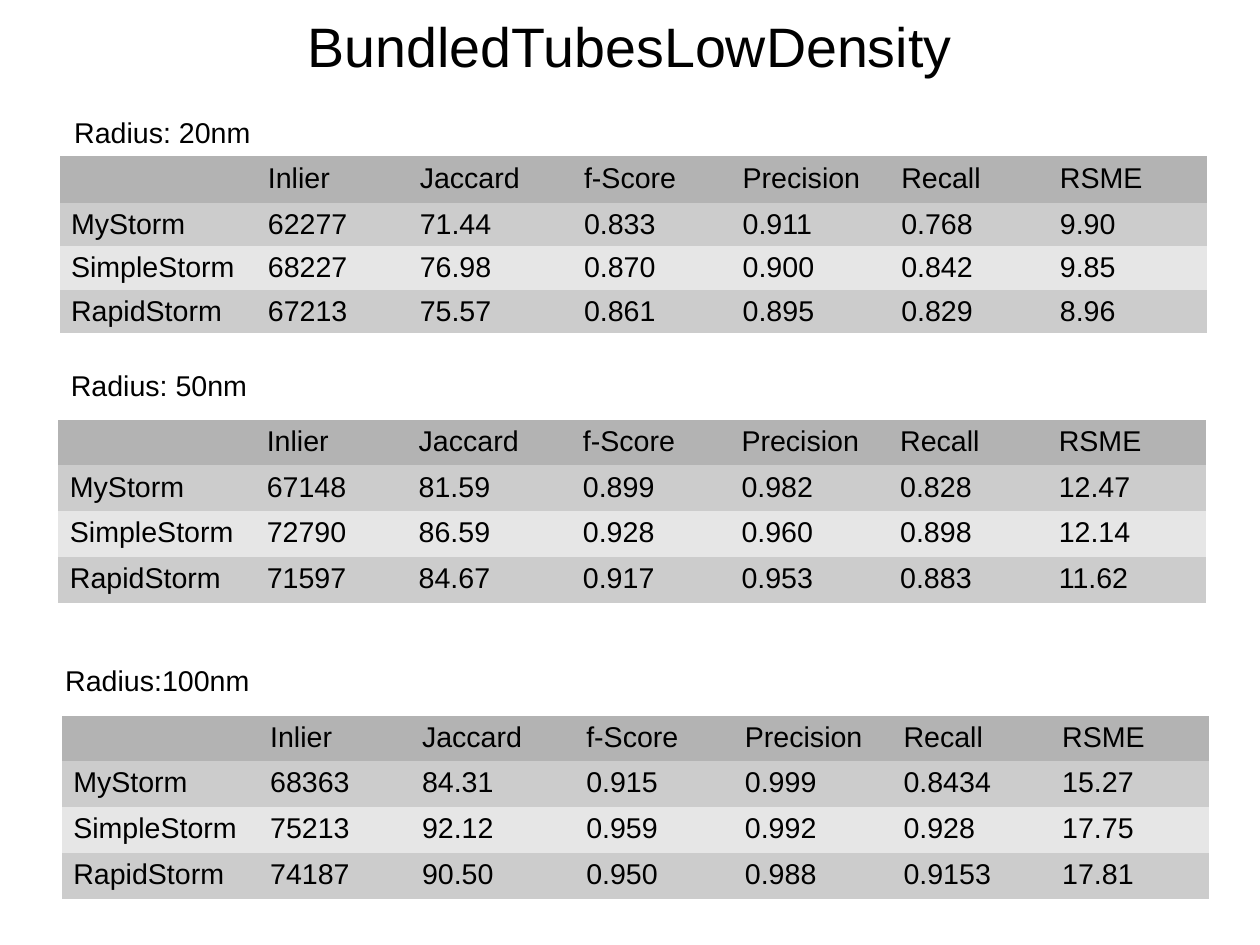
"""Build the BundledTubesLowDensity slide with one result table per radius."""
from dataclasses import dataclass

from pptx import Presentation
from pptx.dml.color import RGBColor
from pptx.enum.text import MSO_ANCHOR, PP_ALIGN
from pptx.oxml.ns import qn
from pptx.slide import Slide
from pptx.text.text import TextFrame
from pptx.util import Pt

EMU_PER_PX = 9000
LEFT, CENTER = PP_ALIGN.LEFT, PP_ALIGN.CENTER
TOP, MIDDLE = MSO_ANCHOR.TOP, MSO_ANCHOR.MIDDLE
TITLE_ONLY_LAYOUT = 5
PLAIN_TABLE_STYLE = "{2D5ABB26-0587-4C30-8999-92F81FD0307C}"


@dataclass(frozen=True)
class Theme:
    font: str = "Arial"
    title_size: int = 35
    body_size: int = 18
    text: str = "000000"
    header: str = "B3B3B3"
    bands: tuple[str, str] = ("CCCCCC", "E6E6E6")


@dataclass(frozen=True)
class Box:
    left: int
    top: int
    width: int
    height: int

    def emu(self) -> tuple[int, ...]:
        return tuple(px(n) for n in (self.left, self.top, self.width, self.height))


@dataclass(frozen=True)
class Result:
    label: str
    label_box: Box
    table_left: int
    table_top: int
    rows: tuple[str, ...]


THEME = Theme()
TITLE_BOX = Box(56, 8, 1008, 64)
HEADER = " Inlier Jaccard f-Score Precision Recall RSME"
COLUMN_WIDTHS = (175, 135, 146, 141, 141, 141, 141)
ROW_HEIGHT = 38
TABLE_HEIGHT = 155
RESULTS = (
    Result("Radius: 20nm", Box(56, 97, 216, 39), 53, 139, (
        "MyStorm 62277 71.44 0.833 0.911 0.768 9.90",
        "SimpleStorm 68227 76.98 0.870 0.900 0.842 9.85",
        "RapidStorm 67213 75.57 0.861 0.895 0.829 8.96",
    )),
    Result("Radius: 50nm", Box(53, 322, 240, 39), 52, 373, (
        "MyStorm 67148 81.59 0.899 0.982 0.828 12.47",
        "SimpleStorm 72790 86.59 0.928 0.960 0.898 12.14",
        "RapidStorm 71597 84.67 0.917 0.953 0.883 11.62",
    )),
    Result("Radius:100nm", Box(48, 584, 240, 39), 55, 636, (
        "MyStorm 68363 84.31 0.915 0.999 0.8434 15.27",
        "SimpleStorm 75213 92.12 0.959 0.992 0.928 17.75",
        "RapidStorm 74187 90.50 0.950 0.988 0.9153 17.81",
    )),
)


def px(length: int) -> int:
    return length * EMU_PER_PX


def write_text(frame: TextFrame, text: str, *, size: int = THEME.body_size,
               align: PP_ALIGN = LEFT, anchor: MSO_ANCHOR = TOP) -> None:
    frame.word_wrap = True
    frame.vertical_anchor = anchor
    paragraph = frame.paragraphs[0]
    paragraph.alignment = align
    run = paragraph.add_run()
    run.text = text
    run.font.name = THEME.font
    run.font.size = Pt(size)
    run.font.color.rgb = RGBColor.from_string(THEME.text)


def add_title(slide: Slide, text: str) -> None:
    title = slide.shapes.title
    title.left, title.top, title.width, title.height = TITLE_BOX.emu()
    frame = title.text_frame
    frame.margin_left = frame.margin_right = frame.margin_top = frame.margin_bottom = 0
    write_text(frame, text, size=THEME.title_size, align=CENTER, anchor=MIDDLE)


def add_result(slide: Slide, result: Result) -> None:
    rows = [line.split(" ") for line in (HEADER, *result.rows)]
    box = Box(result.table_left, result.table_top, sum(COLUMN_WIDTHS), TABLE_HEIGHT)
    shape = slide.shapes.add_table(len(rows), len(COLUMN_WIDTHS), *box.emu())
    for style in shape.element.iter(qn("a:tableStyleId")):
        style.text = PLAIN_TABLE_STYLE
    table = shape.table
    for column, width in zip(table.columns, COLUMN_WIDTHS):
        column.width = px(width)
    for row_index, values in enumerate(rows):
        table.rows[row_index].height = px(ROW_HEIGHT)
        color = THEME.bands[(row_index - 1) % 2] if row_index else THEME.header
        for column_index, value in enumerate(values):
            cell = table.cell(row_index, column_index)
            cell.fill.solid()
            cell.fill.fore_color.rgb = RGBColor.from_string(color)
            if value:
                write_text(cell.text_frame, value)
    shape.height = px(TABLE_HEIGHT)
    label = slide.shapes.add_textbox(*result.label_box.emu())
    write_text(label.text_frame, result.label)


def main() -> None:
    presentation = Presentation()
    presentation.slide_width = px(1120)
    presentation.slide_height = px(840)
    slide = presentation.slides.add_slide(presentation.slide_layouts[TITLE_ONLY_LAYOUT])
    add_title(slide, "BundledTubesLowDensity")
    for result in RESULTS:
        add_result(slide, result)
    presentation.save("out.pptx")


if __name__ == "__main__":
    main()
